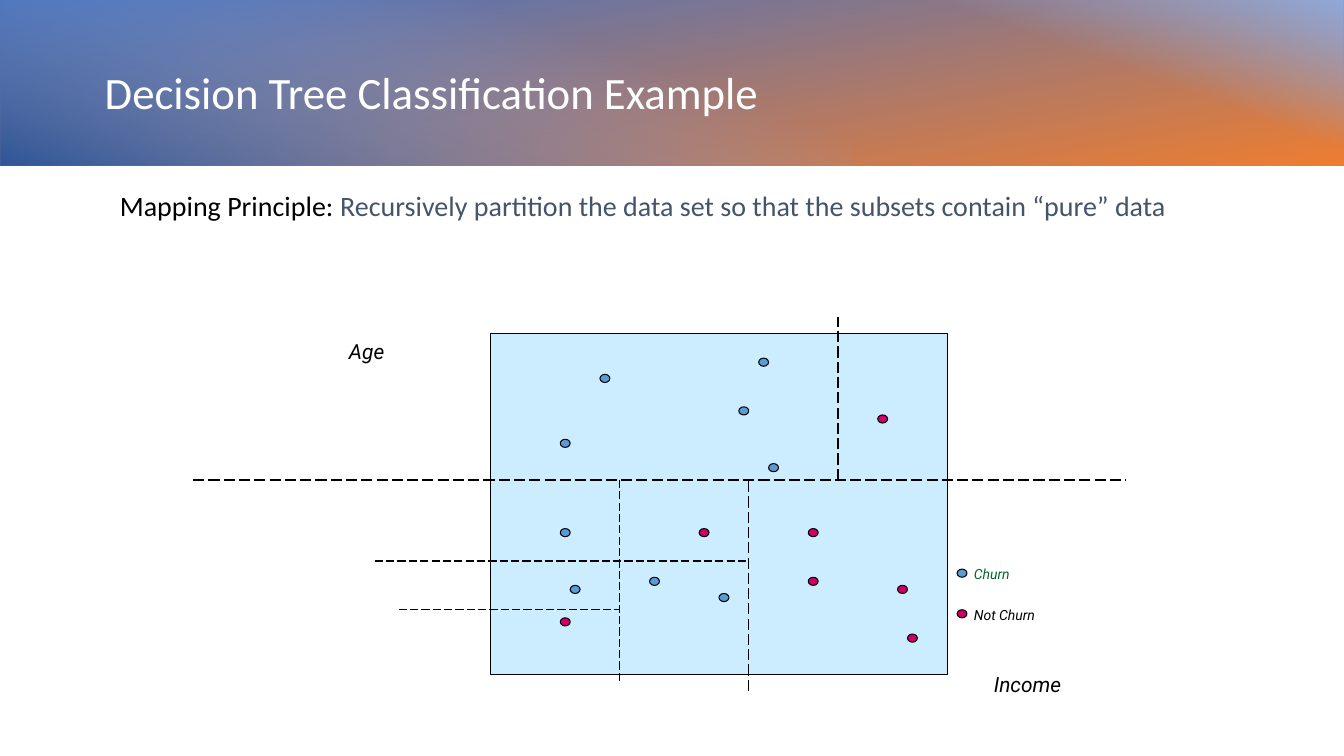
import dataclasses

import lxml.etree
import pptx
import pptx.dml.color
import pptx.enum.dml
import pptx.enum.shapes
import pptx.enum.text
import pptx.oxml.ns
import pptx.util

Cm = pptx.util.Cm
Pt = pptx.util.Pt
SHAPES = pptx.enum.shapes.MSO_SHAPE


@dataclasses.dataclass(frozen=True)
class Theme:
    heading_font: str = "Calibri"
    label_font: str = "Roboto"
    black: str = "000000"
    white: str = "FFFFFF"
    slate: str = "44546A"
    blue: str = "4472C4"
    orange: str = "ED7D31"
    pale_blue: str = "8FAADC"
    deep_blue: str = "2F5597"
    plot_fill: str = "CCECFF"
    churn: str = "5B9BD5"
    not_churn: str = "CC0066"
    churn_label: str = "006729"
    title_size: float = 32
    body_size: float = 20
    axis_size: float = 14.9
    legend_size: float = 10
    thin: float = 0.75
    thick: float = 1


@dataclasses.dataclass(frozen=True)
class Box:
    left: float
    top: float
    width: float
    height: float

    def lengths(self):
        return Cm(self.left), Cm(self.top), Cm(self.width), Cm(self.height)


THEME = Theme()


def color(value):
    return pptx.dml.color.RGBColor.from_string(value)


def add_element(parent, tag, **attributes):
    return lxml.etree.SubElement(parent, pptx.oxml.ns.qn(tag), attributes)


def add_text(page, box, spans, font, size, italic=False):
    """Add one paragraph made of (text, colour) spans."""
    text_box = page.shapes.add_textbox(*box.lengths())
    frame = text_box.text_frame
    frame.word_wrap = True
    para = frame.paragraphs[0]
    for text, value in spans:
        span = para.add_run()
        span.text = text
        span.font.name = font
        span.font.size = Pt(size)
        span.font.italic = italic
        span.font.color.rgb = color(value)
    return frame


def add_filled(page, kind, box, value):
    shape = page.shapes.add_shape(kind, *box.lengths())
    shape.shadow.inherit = False
    shape.fill.solid()
    shape.fill.fore_color.rgb = color(value)
    shape.line.color.rgb = color(THEME.black)
    shape.line.width = Pt(THEME.thin)


def add_gradient(page, box, rotation, angle, stops):
    """Fill the box with a quarter-turned rectangle; stops are (position, colour, opaque)."""
    turned = Box(box.left + (box.width - box.height) / 2,
                 box.top + (box.height - box.width) / 2, box.height, box.width)
    shape = page.shapes.add_shape(SHAPES.RECTANGLE, *turned.lengths())
    shape.rotation = rotation
    shape.shadow.inherit = False
    shape.line.fill.background()
    shape.fill.gradient()
    shape.fill.gradient_angle = 360 - angle
    elements = shape.fill._fill._gradFill.gsLst
    for stop, element, (position, value, opaque) in zip(shape.fill.gradient_stops, elements, stops):
        stop.position = position
        stop.color.rgb = color(value)
        if not opaque:
            add_element(element[0], "a:alpha", val="0")


def draw_header(page, box):
    # Three gradient layers, back to front
    right_width, left_width = 14.07, 21.44
    add_gradient(page, box, 270, 170, [(0, THEME.blue, True), (1, THEME.orange, True)])
    right = Box(box.left + box.width - right_width, box.top, right_width, box.height)
    add_gradient(page, right, 270, 20,
                 [(0.59, THEME.pale_blue, False), (1, THEME.pale_blue, True)])
    left = Box(box.left, box.top, left_width, box.height)
    add_gradient(page, left, 90, 20,
                 [(0.29, THEME.pale_blue, False), (1, THEME.deep_blue, True)])

    # Title
    title = Box(box.left + 2.39, box.top + 1.05, 29.11, 2.79)
    frame = add_text(page, title, [("Decision Tree Classification Example", THEME.white)],
                     THEME.heading_font, THEME.title_size)
    frame.vertical_anchor = pptx.enum.text.MSO_ANCHOR.MIDDLE
    frame.paragraphs[0].line_spacing = 0.9


def draw_principle(page, box):
    spans = [("Mapping Principle:", THEME.black),
             (" Recursively partition the data set so that the subsets contain “pure” data",
              THEME.slate)]
    frame = add_text(page, box, spans, THEME.heading_font, THEME.body_size)
    frame.paragraphs[0].space_after = Pt(6)


def draw_partition_plot(page, box):
    # Everything sits on a grid of 46 columns by 42 rows inside the box
    cell_width, cell_height = box.width / 46, box.height / 42

    def at(column, row):
        return box.left + column * cell_width, box.top + row * cell_height

    def add_dot(column, row, value):
        add_filled(page, SHAPES.OVAL, Box(*at(column, row), cell_width, cell_height), value)

    def add_label(text, column, row, width, height, size, value):
        add_text(page, Box(*at(column, row), width, height), [(text, value)],
                 THEME.label_font, size, italic=True)

    add_filled(page, SHAPES.RECTANGLE, box, THEME.plot_fill)

    # Axis names
    add_label("Income", 49.7, 41, 3.4, 1.04, THEME.axis_size, THEME.black)
    add_label("Age", -15.3, 0, 3.4, 1.04, THEME.axis_size, THEME.black)

    # Customers
    customers = {
        THEME.churn: [(11, 5), (7, 13), (27, 3), (25, 9), (28, 16),
                      (7, 24), (8, 31), (16, 30), (23, 32)],
        THEME.not_churn: [(7, 35), (21, 24), (32, 24), (32, 30),
                          (41, 31), (42, 37), (39, 10)],
    }
    for value, places in customers.items():
        for column, row in places:
            add_dot(column, row, value)

    # Splits
    splits = [
        ((-30, 18), (64, 18), THEME.thick),
        ((35, 18), (35, -2), THEME.thick),
        ((26, 44), (26, 18), THEME.thick),
        ((-11.7, 28), (26, 28), THEME.thin),
        ((13, 18), (13, 43), THEME.thin),
        ((-9.3, 34), (13, 34), THEME.thin),
    ]
    for start, end, width in splits:
        ends = [Cm(value) for value in at(*start) + at(*end)]
        split = page.shapes.add_connector(pptx.enum.shapes.MSO_CONNECTOR.STRAIGHT, *ends)
        split.line.color.rgb = color(THEME.black)
        split.line.width = Pt(width)
        split.line.dash_style = pptx.enum.dml.MSO_LINE.LONG_DASH
        add_element(split._element.spPr, "a:effectLst")

    # Legend
    legend = [("Churn", 29, THEME.churn, THEME.churn_label),
              ("Not Churn", 34, THEME.not_churn, THEME.black)]
    for text, row, dot_color, text_color in legend:
        add_dot(47, row, dot_color)
        add_label(text, 47.7, row - 1, 3.07, 0.79, THEME.legend_size, text_color)


def main():
    deck = pptx.Presentation()
    deck.slide_width, deck.slide_height = Cm(33.87), Cm(19.05)
    page = deck.slides.add_slide(deck.slide_layouts[6])
    draw_header(page, Box(0, -0.06, 33.87, 4.22))
    draw_principle(page, Box(2.77, 4.62, 29.31, 13.44))
    draw_partition_plot(page, Box(12.37, 8.41, 11.5, 8.59))
    deck.save("out.pptx")


if __name__ == "__main__":
    main()
